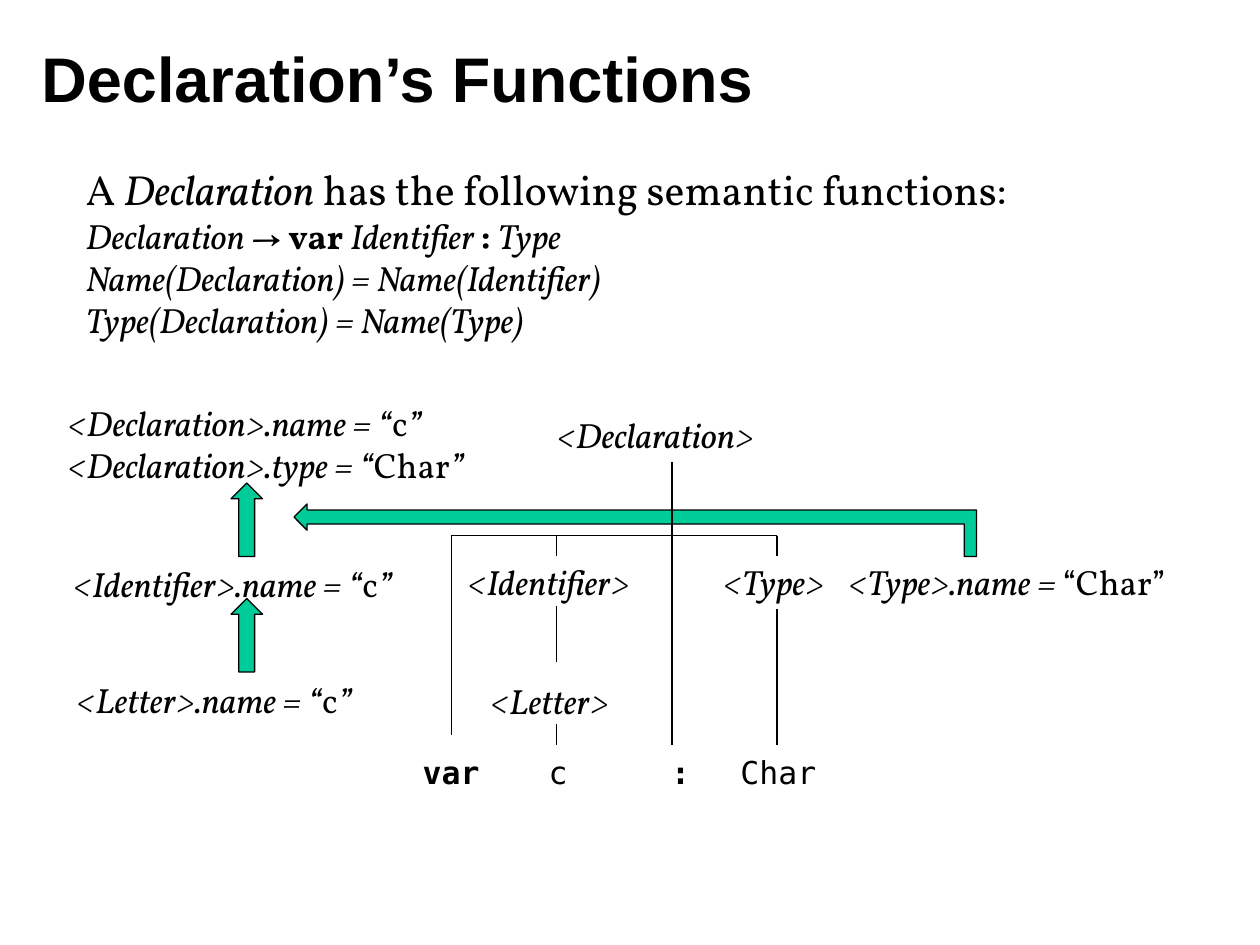
"""Build the slide on the semantic functions of a Declaration."""
from dataclasses import dataclass

from lxml import etree
from pptx import Presentation
from pptx.dml.color import RGBColor
from pptx.enum.shapes import MSO_CONNECTOR, MSO_SHAPE
from pptx.enum.text import MSO_ANCHOR, MSO_AUTO_SIZE, PP_ALIGN
from pptx.oxml.ns import qn
from pptx.util import Pt


@dataclass(frozen=True)
class Theme:
    ink: RGBColor = RGBColor(0, 0, 0)
    arrow: RGBColor = RGBColor(0x00, 0xCC, 0x99)
    head: str = "Arial"
    serif: str = "Vollkorn"
    mono: str = "DejaVu Sans Mono"
    title: int = 36
    lead: int = 24
    body: int = 20
    code: int = 18
    line: float = 0.75


theme = Theme()


def write(tf, paragraphs, font=theme.serif, sizes=(theme.body,)):
    """Fill a frame; each paragraph is a list of (text, style) runs, style "", "b" or "i"."""
    for i, runs in enumerate(paragraphs):
        p = tf.paragraphs[0] if i == 0 else tf.add_paragraph()
        p.alignment = PP_ALIGN.LEFT
        for text, style in runs:
            r = p.add_run()
            r.text = text
            r.font.name = font
            r.font.size = Pt(sizes[min(i, len(sizes) - 1)])
            r.font.bold = style == "b"
            r.font.italic = style == "i"
            r.font.color.rgb = theme.ink


def paint(sp):
    sp.shadow.inherit = False
    sp.fill.solid()
    sp.fill.fore_color.rgb = theme.arrow
    sp.line.color.rgb = theme.ink
    sp.line.width = Pt(theme.line)


prs = Presentation()
prs.slide_width, prs.slide_height = Pt(720), Pt(540)
s = prs.slides.add_slide(prs.slide_layouts[5])

title = s.shapes.title
title.left, title.top, title.width, title.height = Pt(16.5), Pt(10.8), Pt(578), Pt(67)
title.text_frame.vertical_anchor = MSO_ANCHOR.MIDDLE
write(title.text_frame, [[("Declaration’s Functions", "b")]], font=theme.head, sizes=(theme.title,))

rules = s.shapes.add_textbox(Pt(42), Pt(90), Pt(585), Pt(138))
rules.text_frame.word_wrap = True
write(rules.text_frame, [
    [("A ", ""), ("Declaration", "i"), (" has the following semantic functions:", "")],
    [("Declaration ", "i"), ("→ ", ""), ("var ", "b"), ("Identifier ", "i"), (": ", "b"), ("Type", "i")],
    [("Name(Declaration) = Name(Identifier)", "i")],
    [("Type(Declaration) = Name(Type)", "i")],
], sizes=(theme.lead, theme.body))

var_x, identifier_x, colon_x, type_x = 258, 318, 384, 444
bar_y, leaf_y = 306, 426

nodes = [
    (colon_x - 73, 232.5, 146, "<Declaration>"),
    (260, 317, 122.5, "<Identifier>"),
    (406, 317, 81, "<Type>"),
    (273, 384.5, 93, "<Letter>"),
]
attributes = [
    (31.5, 226, 276.5, [("<Declaration>.name = “", "c"), ("<Declaration>.type = “", "Char")]),
    (34.5, 318, 228, [("<Identifier>.name = “", "c")]),
    (36.5, 384, 199, [("<Letter>.name = “", "c")]),
]
leaves = [
    (234.5, 47, "var", "b"),
    (306.5, 25, "c", ""),
    (376.5, 25, ":", "b"),
    (416, 58, "Char", ""),
]
serif = dict(font=theme.serif, sizes=(theme.body,))
mono = dict(font=theme.mono, sizes=(theme.code,))
labels = [(x, y, w, 31.5, [[(text, "i")]], serif) for x, y, w, text in nodes]
labels += [
    (x, y, w, 31.5 + 24 * (len(lines) - 1), [[(a, "i"), (value, ""), ("”", "i")] for a, value in lines], serif)
    for x, y, w, lines in attributes
]
labels.append((477.5, 317, 222.5, 31.5, [[("<Type>.name = ", "i"), ("“Char”", "")]], serif))
labels += [(x, leaf_y + 0.5, w, 29, [[(text, style)]], mono) for x, w, text, style in leaves]

boxes = []
for x, y, w, h, paragraphs, style in labels:
    box = s.shapes.add_textbox(Pt(x), Pt(y), Pt(w), Pt(h))
    box.text_frame.word_wrap = False
    box.text_frame.auto_size = MSO_AUTO_SIZE.SHAPE_TO_FIT_TEXT
    write(box.text_frame, paragraphs, **style)
    boxes.append(box)

for y in (342, 276):
    up = s.shapes.add_shape(MSO_SHAPE.UP_ARROW, Pt(132), Pt(y), Pt(18), Pt(42))
    paint(up)

outline = [(551, 318), (551, 299.5), (175.5, 299.5), (175.5, 303), (168, 295.5),
           (175.5, 288), (175.5, 291.5), (558, 291.5), (558, 318)]
builder = s.shapes.build_freeform(Pt(outline[0][0]), Pt(outline[0][1]))
builder.add_line_segments([(Pt(x), Pt(y)) for x, y in outline[1:]], close=True)
paint(builder.convert_to_shape())

branches = [
    (colon_x, 264, colon_x, leaf_y),
    (var_x, bar_y, type_x, bar_y),
    (var_x, bar_y, var_x, 420),
    (identifier_x, bar_y, identifier_x, 318),
    (identifier_x, 346.5, identifier_x, 378),
    (identifier_x, 413.5, identifier_x, 425.5),
    (type_x, bar_y, type_x, 318),
    (type_x, 348, type_x, leaf_y),
]
lines = []
for x1, y1, x2, y2 in branches:
    line = s.shapes.add_connector(MSO_CONNECTOR.STRAIGHT, Pt(x1), Pt(y1), Pt(x2), Pt(y2))
    line.line.color.rgb = theme.ink
    line.line.width = Pt(theme.line)
    etree.SubElement(line.element.spPr, qn("a:effectLst"))
    lines.append(line)
lines[0].begin_connect(boxes[0], 2)

prs.save("out.pptx")
